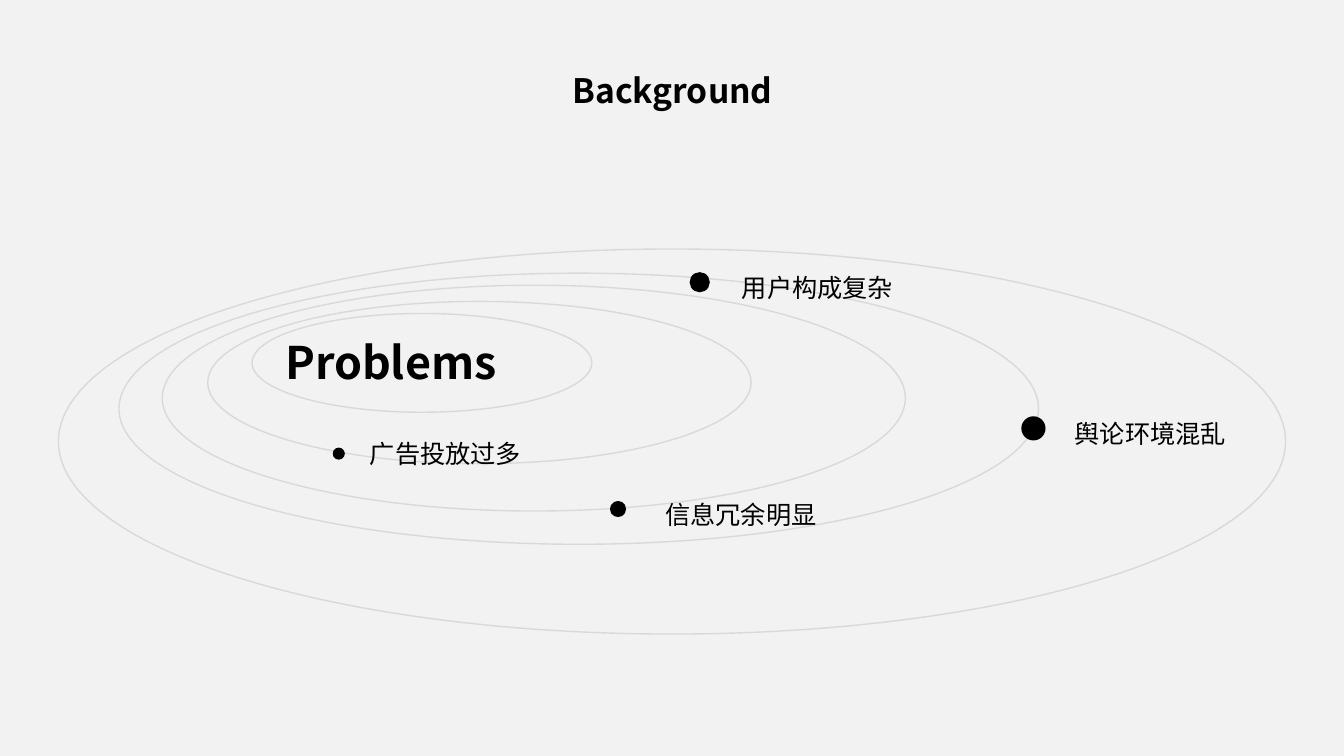
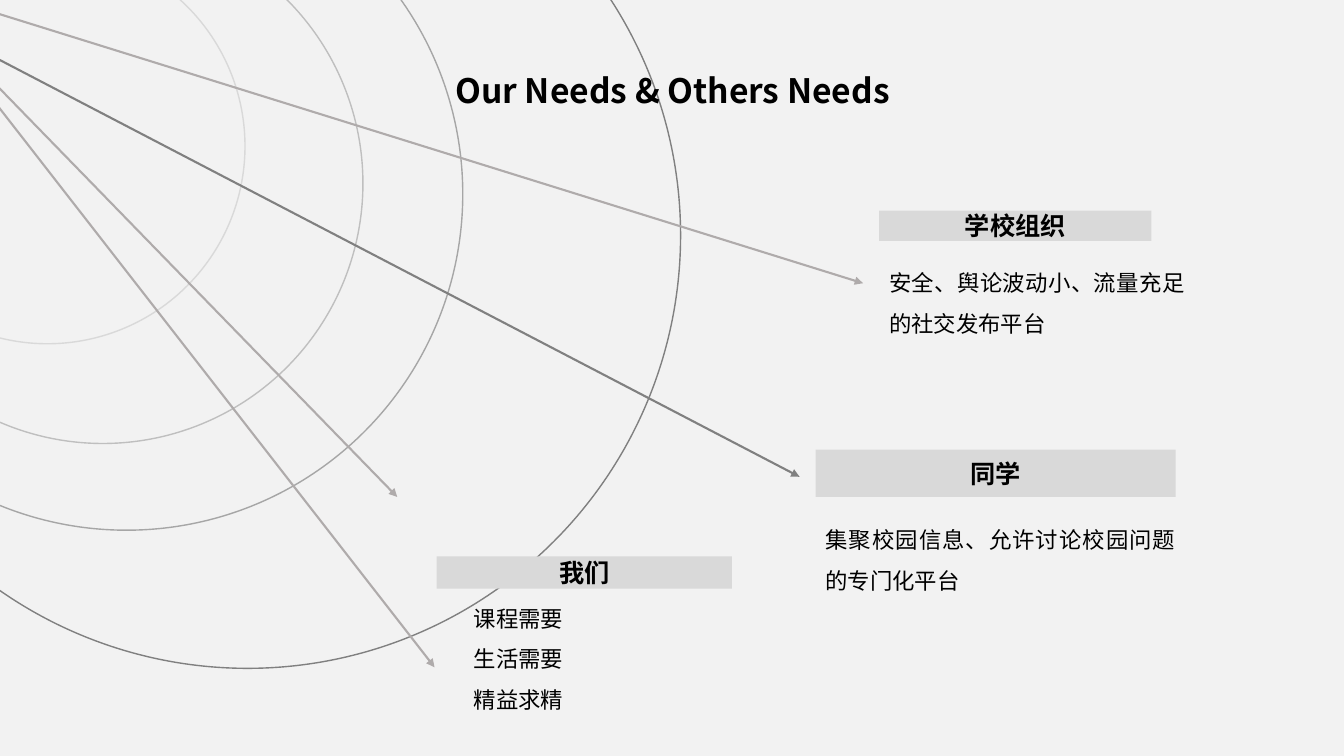
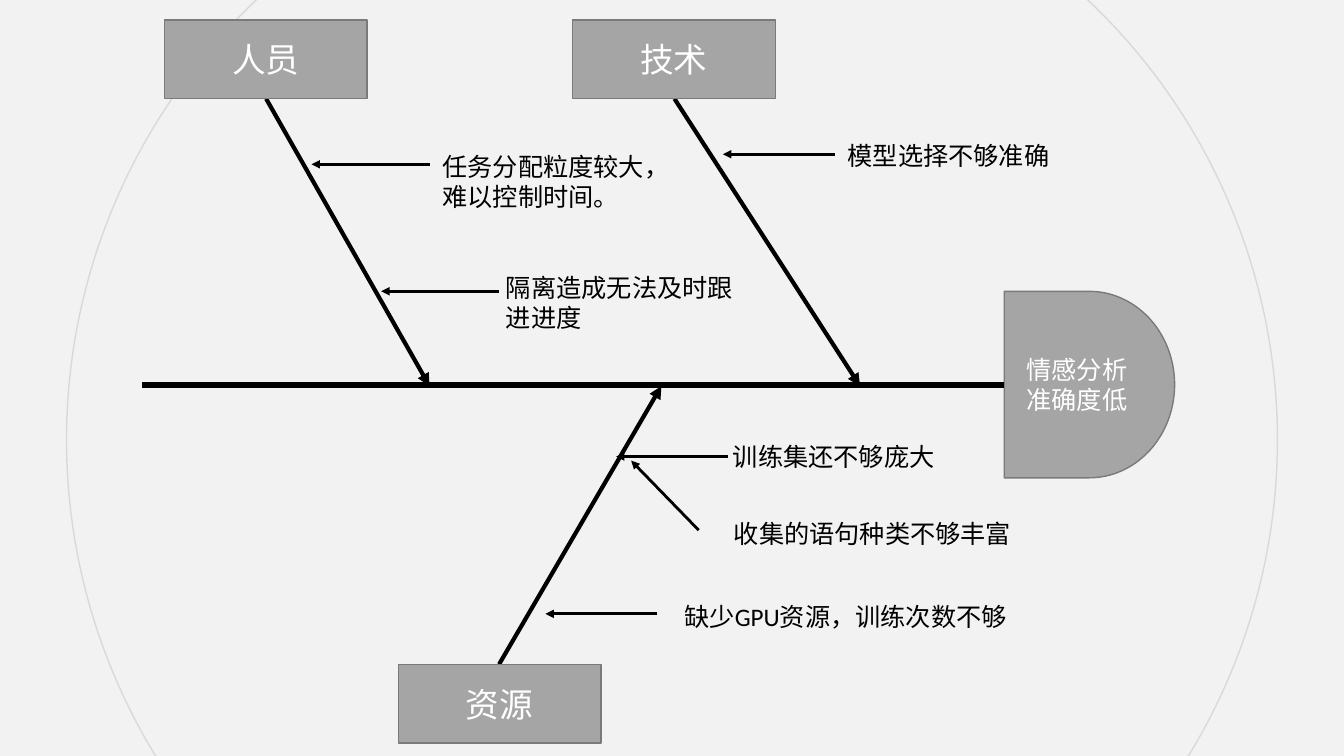
import pptx
import pptx.dml.color
import pptx.enum.shapes
import pptx.enum.text
import pptx.oxml.ns
import pptx.util
from lxml import etree

PX = 9144
SLIDE_SIZE = (1333, 750)
SANS, BODY = "Noto Sans CJK SC", "Calibri"
PAPER, INK, WHITE = "F2F2F2", "000000", "FFFFFF"
PALE, SILVER, MID, DARK, WARM = "D9D9D9", "BFBFBF", "A6A6A6", "808080", "AFABAB"
BOX_FILL, BOX_EDGE = "A5A5A5", "7A7A7A"
LOOSE = 1.8

SHAPES = pptx.enum.shapes.MSO_SHAPE
ALIGN = pptx.enum.text.PP_ALIGN
ANCHOR = pptx.enum.text.MSO_ANCHOR

TITLE_AT = (332, 44, 670, 64)

ORBITS = [
    (250, 311, 337, 98), (206, 299, 539, 161), (161, 283, 737, 224),
    (118, 271, 912, 269), (58, 247, 1217, 382),
]
PROBLEMS = [
    ("信息冗余明显", (605, 497), 16, (650, 475)),
    ("广告投放过多", (330, 444), 12, (357, 415)),
    ("舆论环境混乱", (1013, 413), 24, (1056, 395)),
    ("用户构成复杂", (684, 270), 20, (726, 250)),
]

CIRCLES = [
    (-149, -51, 392, PALE), (-156, -76, 516, SILVER),
    (-208, -141, 667, MID), (-184, -196, 859, DARK),
]
RAYS = [
    (12, (856, 281), WARM), (56, (793, 473), DARK),
    (99, (431, 662), WARM), (81, (394, 493), WARM),
]
NEEDS = [
    ("学校组织", (872, 209, 270, 30),
     ["安全、舆论波动小、流量充足的社交发布平台"], (872, 249, 313, 86)),
    ("同学", (809, 446, 357, 47),
     ["集聚校园信息、允许讨论校园问题的专门化平台"], (809, 504, 367, 86)),
    ("我们", (433, 552, 293, 32),
     ["课程需要", "生活需要", "精益求精"], (460, 582, 219, 127)),
]

SPINE_Y = 382
EFFECT = ("情感分析准确度低", (996, 289, 169, 185))
BONES = [
    ("技术", (568, 20), (669, 98), (853, 383)),
    ("资源", (395, 659), (495, 659), (656, 383)),
    ("人员", (163, 20), (264, 98), (426, 383)),
]
CAUSES = [
    ("模型选择不够准确", (831, 134, 400, 40), (828, 153), (717, 153)),
    ("缺少GPU资源，训练次数不够", (669, 592, 500, 40), (652, 609), (541, 609)),
    ("训练集还不够庞大", (717, 433, 400, 40), (722, 453), (611, 453)),
    ("收集的语句种类不够丰富", (718, 509, 450, 40), (693, 526), (626, 457)),
    ("任务分配粒度较大，难以控制时间。", (429, 145, 227, 71), (426, 163), (309, 163)),
    ("隔离造成无法及时跟进进度", (492, 265, 252, 71), (495, 289), (378, 289)),
]


def rgb(value):
    return pptx.dml.color.RGBColor.from_string(value)


def emu(lengths):
    return [length * PX for length in lengths]


def write(frame, lines, size, color=INK, font=SANS, bold=False,
          align=ALIGN.LEFT, spacing=None):
    frame.word_wrap = True
    frame.text = "\n".join(lines)
    for paragraph in frame.paragraphs:
        paragraph.alignment = align
        if spacing:
            paragraph.line_spacing = pptx.util.Pt(size * spacing)
        for run in paragraph.runs:
            run.font.size = pptx.util.Pt(size)
            run.font.bold = bold
            run.font.name = font
            run.font.color.rgb = rgb(color)
            east_asian = etree.SubElement(
                run.font._element, pptx.oxml.ns.qn("a:ea"))
            east_asian.set("typeface", font)


def add_text(slide, at, lines, size, **style):
    box = slide.shapes.add_textbox(*emu(at))
    write(box.text_frame, lines, size, **style)


def add_figure(slide, preset, at, fill=None, edge=None):
    figure = slide.shapes.add_shape(preset, *emu(at))
    figure.shadow.inherit = False
    if fill:
        figure.fill.solid()
        figure.fill.fore_color.rgb = rgb(fill)
    else:
        figure.fill.background()
    if edge:
        figure.line.color.rgb = rgb(edge)
        figure.line.width = pptx.util.Pt(1)
    else:
        figure.line.fill.background()
    return figure


def add_label(slide, preset, at, text, size, fill, edge=None, **style):
    label = add_figure(slide, preset, at, fill, edge)
    label.text_frame.vertical_anchor = ANCHOR.MIDDLE
    write(label.text_frame, [text], size, align=ALIGN.CENTER, **style)


def add_line(slide, start, end, color, width, arrow=True):
    line = slide.shapes.add_connector(
        pptx.enum.shapes.MSO_CONNECTOR.STRAIGHT, *emu(start + end))
    line.line.color.rgb = rgb(color)
    line.line.width = pptx.util.Pt(width)
    if arrow:
        tail = etree.SubElement(
            line.line._get_or_add_ln(), pptx.oxml.ns.qn("a:tailEnd"))
        tail.set("type", "triangle")
    etree.SubElement(line._element.spPr, pptx.oxml.ns.qn("a:effectLst"))


def add_title(slide, title):
    add_text(slide, TITLE_AT, [title], 24, bold=True,
             align=ALIGN.CENTER, spacing=LOOSE)


def build_background(slide):
    add_title(slide, "Background")
    for orbit in ORBITS:
        add_figure(slide, SHAPES.OVAL, orbit, edge=PALE)
    add_text(slide, (273, 300, 387, 81), ["Problems"], 32, bold=True,
             spacing=LOOSE)
    for problem, corner, diameter, text_corner in PROBLEMS:
        add_figure(slide, SHAPES.OVAL, corner + (diameter, diameter), fill=INK)
        add_text(slide, text_corner + (219, 50), [problem], 18,
                 align=ALIGN.JUSTIFY, spacing=LOOSE)


def build_needs(slide):
    for left, top, diameter, color in CIRCLES:
        add_figure(slide, SHAPES.OVAL, (left, top, diameter, diameter),
                   edge=color)
    for start_y, end, color in RAYS:
        add_line(slide, (-7, start_y), end, color, 1.5)
    add_title(slide, "Our Needs & Others Needs")
    for group, band, wishes, wishes_at in NEEDS:
        add_label(slide, SHAPES.RECTANGLE, band, group, 18, PALE, bold=True)
        add_text(slide, wishes_at, wishes, 16, align=ALIGN.JUSTIFY,
                 spacing=LOOSE)


def build_fishbone(slide):
    add_figure(slide, SHAPES.OVAL, (66, -164, 1201, 1201), edge=PALE)
    effect, effect_at = EFFECT
    boxed = dict(fill=BOX_FILL, edge=BOX_EDGE, color=WHITE, font=BODY)
    add_label(slide, SHAPES.FLOWCHART_DELAY, effect_at, effect, 18, **boxed)
    add_line(slide, (996, SPINE_Y), (141, SPINE_Y), INK, 4, arrow=False)
    for category, corner, start, end in BONES:
        add_line(slide, start, end, INK, 3)
        add_label(slide, SHAPES.RECTANGLE, corner + (201, 78), category, 24,
                  **boxed)
    for cause, cause_at, start, end in CAUSES:
        add_line(slide, start, end, INK, 2)
        add_text(slide, cause_at, [cause], 18, font=BODY)


def main():
    deck = pptx.Presentation()
    deck.slide_width, deck.slide_height = emu(SLIDE_SIZE)
    backdrop = deck.slide_master.background.fill
    backdrop.solid()
    backdrop.fore_color.rgb = rgb(PAPER)
    for build in (build_background, build_needs, build_fishbone):
        build(deck.slides.add_slide(deck.slide_layouts[6]))
    deck.save("out.pptx")


if __name__ == "__main__":
    main()
